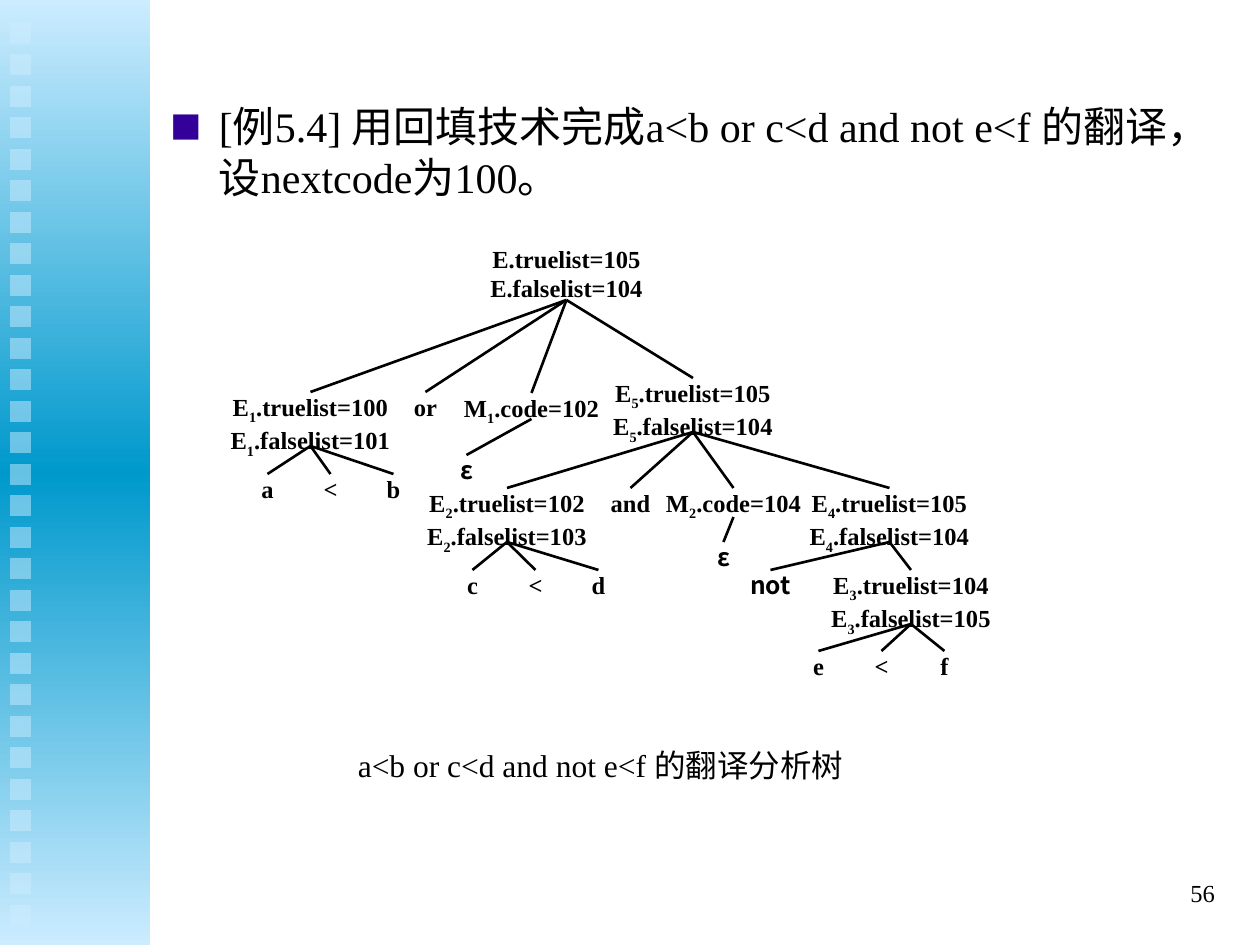
"""Build a slide showing the annotated parse tree of a backpatched boolean expression."""
from dataclasses import dataclass

from lxml.etree import SubElement
from pptx import Presentation
from pptx.dml.color import RGBColor
from pptx.enum.shapes import MSO_CONNECTOR, MSO_SHAPE
from pptx.enum.text import MSO_ANCHOR, PP_ALIGN
from pptx.oxml.ns import qn
from pptx.util import Emu, Pt

EMU_PER_INCH = 914400
PX_PER_INCH = 126
TOP, BOTTOM = 0, 2


@dataclass(frozen=True)
class Theme:
    ink: str = "000000"
    bullet: str = "330099"
    pale: str = "CCECFF"
    deep: str = "0099CC"
    serif: str = "Times New Roman"
    sans: str = "Noto Sans CJK SC"
    body_size: int = 24
    caption_size: int = 18
    node_size: int = 14
    line_width: float = 1.5


def px(length):
    return Emu(round(length * EMU_PER_INCH / PX_PER_INCH))


class SlideBuilder:
    def __init__(self, slide, theme):
        self.slide = slide
        self.theme = theme

    def rectangle(self, left, top, width, height):
        shape = self.slide.shapes.add_shape(
            MSO_SHAPE.RECTANGLE, px(left), px(top), px(width), px(height))
        shape.shadow.inherit = False
        shape.line.fill.background()
        return shape

    def gradient_band(self, left, top, width, height):
        shape = self.rectangle(left, top, width, height)
        shape.fill.gradient()
        shape.fill.gradient_angle = 270
        stop_list = shape._element.spPr.find(qn("a:gradFill")).find(qn("a:gsLst"))
        for stop in list(stop_list):
            stop_list.remove(stop)
        theme = self.theme
        for position, color in ((0, theme.pale), (50, theme.deep), (100, theme.pale)):
            stop = SubElement(stop_list, qn("a:gs"), pos=str(position * 1000))
            SubElement(stop, qn("a:srgbClr"), val=color)

    def translucent_square(self, left, top, side):
        shape = self.rectangle(left, top, side, side)
        shape.fill.solid()
        shape.fill.fore_color.rgb = RGBColor.from_string(self.theme.pale)
        color = shape._element.spPr.find(qn("a:solidFill")).find(qn("a:srgbClr"))
        SubElement(color, qn("a:alpha"), val="50000")

    def text(self, box, lines, size, bold=False, font=None, align=PP_ALIGN.CENTER,
             margins=(0, 0), anchor=MSO_ANCHOR.TOP, bullet=False):
        shape = self.slide.shapes.add_textbox(*map(px, box))
        frame = shape.text_frame
        frame.word_wrap = True
        frame.vertical_anchor = anchor
        frame.margin_left = frame.margin_right = px(margins[0])
        frame.margin_top = frame.margin_bottom = px(margins[1])
        for index, line in enumerate(lines):
            paragraph = frame.add_paragraph() if index else frame.paragraphs[0]
            paragraph.alignment = align
            if bullet:
                self.bullet(paragraph)
            self.font(paragraph, size, bold, font or self.theme.serif)
            for position, part in enumerate(line.split("_")):
                run = paragraph.add_run()
                run.text = part
                if position == 1:
                    run._r.get_or_add_rPr().set("baseline", "-25000")
        return shape

    def font(self, paragraph, size, bold, name):
        paragraph.font.size = Pt(size)
        paragraph.font.bold = bold
        paragraph.font.name = name
        paragraph.font.color.rgb = RGBColor.from_string(self.theme.ink)
        properties = paragraph._p.pPr.find(qn("a:defRPr"))
        SubElement(properties, qn("a:ea"), typeface=self.theme.sans)

    def bullet(self, paragraph):
        properties = paragraph._p.get_or_add_pPr()
        properties.set("marL", str(px(48)))
        properties.set("indent", str(px(-48)))
        color = SubElement(properties, qn("a:buClr"))
        SubElement(color, qn("a:srgbClr"), val=self.theme.bullet)
        SubElement(properties, qn("a:buSzPct"), val="75000")
        SubElement(properties, qn("a:buFont"), typeface=self.theme.sans)
        SubElement(properties, qn("a:buChar"), char="■")

    def branch(self, parent, child):
        connector = self.slide.shapes.add_connector(MSO_CONNECTOR.STRAIGHT, 0, 0, 0, 0)
        connector.begin_connect(parent, BOTTOM)
        connector.end_connect(child, TOP)
        connector.line.width = Pt(self.theme.line_width)
        connector.line.color.rgb = RGBColor.from_string(self.theme.ink)
        SubElement(connector._element.spPr, qn("a:effectLst"))


def attributes(symbol, true_list, false_list):
    return [f"{symbol}.truelist={true_list}", f"{symbol}.falselist={false_list}"]


def tree_nodes():
    nodes = [
        ("E", None, (483, 244, 167, 56), attributes("E", 105, 104)),
        ("E1", "E", (228, 392, 165, 54), attributes("E_1_", 100, 101)),
        ("or", "E", (410, 392, 31, 28), ["or"]),
        ("M1", "E", (451, 393, 161, 26), ["M_1_.code=102"]),
        ("E5", "E", (599, 378, 188, 54), attributes("E_5_", 105, 104)),
        ("empty1", "M1", (451, 455, 31, 28), ["ε"]),
        ("E2", "E5", (415, 488, 184, 54), attributes("E_2_", 102, 103)),
        ("and", "E5", (600, 488, 61, 24), ["and"]),
        ("M2", "E5", (662, 488, 143, 29), ["M_2_.code=104"]),
        ("E4", "E5", (788, 488, 203, 54), attributes("E_4_", 105, 104)),
        ("empty2", "M2", (708, 542, 31, 28), ["ε"]),
        ("not", "E4", (737, 570, 67, 23), ["not"]),
        ("E3", "E4", (819, 570, 184, 54), attributes("E_3_", 104, 105)),
    ]
    comparisons = (("E1", 252, 474, "a<b"), ("E2", 457, 570, "c<d"), ("E3", 803, 651, "e<f"))
    for parent, left, top, symbols in comparisons:
        for index, symbol in enumerate(symbols):
            nodes.append((parent + symbol, parent, (left + 63 * index, top, 31, 28), [symbol]))
    return nodes


def main():
    presentation = Presentation()
    presentation.slide_width, presentation.slide_height = px(1260), px(945)
    theme = Theme()
    builder = SlideBuilder(presentation.slides.add_slide(presentation.slide_layouts[6]), theme)

    builder.gradient_band(0, 0, 150, 945)
    for index in range(29):
        builder.translucent_square(10, 23 + index * 63 // 2, 21)

    builder.text((158, 95, 1071, 746),
                 ["[例5.4] 用回填技术完成a<b or c<d and not e<f 的翻译，设nextcode为100。"],
                 theme.body_size, align=PP_ALIGN.LEFT, margins=(13, 6), bullet=True)

    shapes = {}
    for name, parent, box, lines in tree_nodes():
        font = theme.sans if lines[0] in ("ε", "not") else theme.serif
        shapes[name] = builder.text(box, lines, theme.node_size, bold=True, font=font)
        if parent:
            builder.branch(shapes[parent], shapes[name])

    builder.text((325, 746, 551, 28), ["a<b or c<d and not e<f 的翻译分析树"], theme.caption_size)
    builder.text((966, 861, 262, 63), ["56"], theme.node_size, align=PP_ALIGN.RIGHT,
                 margins=(13, 6), anchor=MSO_ANCHOR.MIDDLE)
    presentation.save("out.pptx")


if __name__ == "__main__":
    main()
